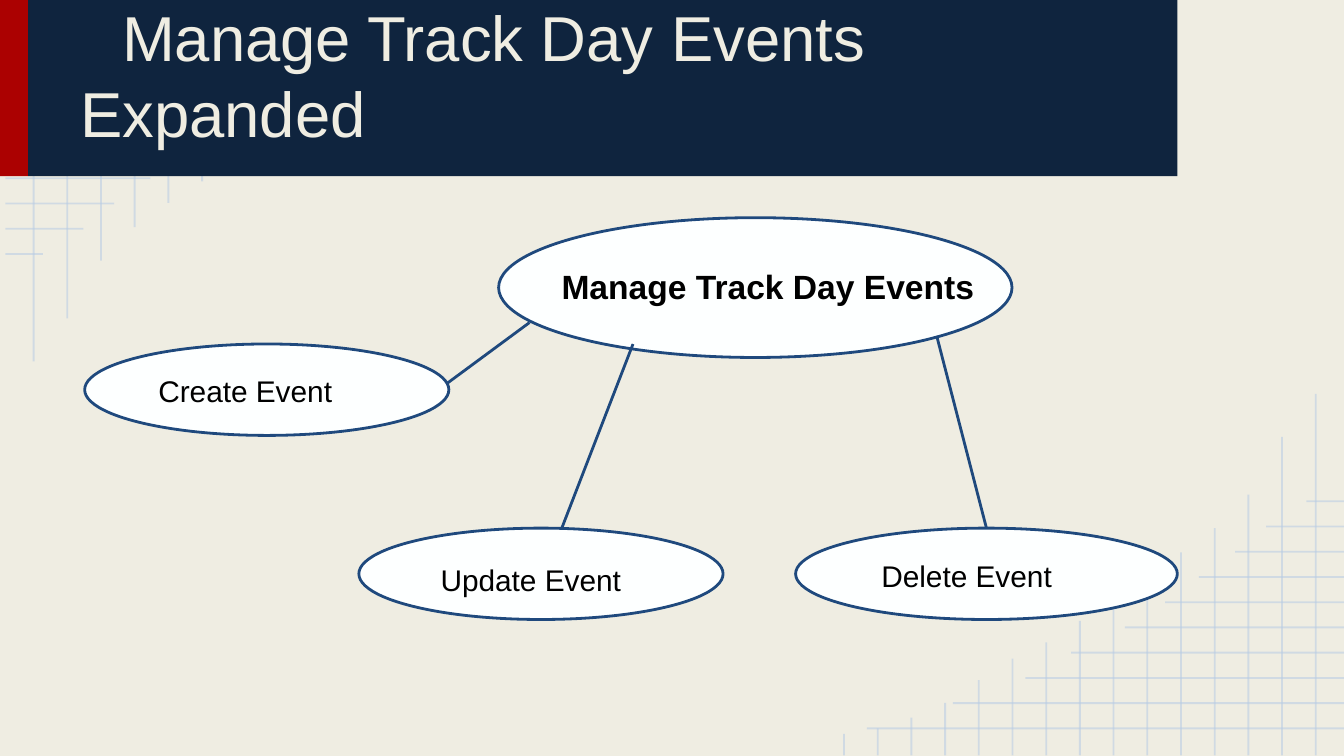
from pptx import Presentation
from pptx.dml.color import RGBColor
from pptx.enum import shapes, text
from pptx.oxml.ns import qn
from pptx.util import Inches, Pt
from lxml import etree

CREAM = RGBColor(0xEF, 0xED, 0xE2)
GRID = RGBColor(0xB7, 0xCC, 0xE4)
RED = RGBColor(0xAB, 0x01, 0x01)
NAVY = RGBColor(0x0F, 0x24, 0x3E)
BLUE = RGBColor(0x1F, 0x49, 0x7D)
WHITE = RGBColor(0xFD, 0xFF, 0xFF)
BLACK = RGBColor(0, 0, 0)

ROW_ENDS = [3.59, 2.95, 2.41, 2.07, 1.67, 1.37, 1.12, 0.85, 0.62, 0.32]
COLUMN_ENDS = [2.69, 2.37, 1.94, 1.69, 1.51, 1.35, 1.16, 1.0,
               0.84, 0.72, 0.56, 0.39, 0.28, 0.2, 0.16]

ELLIPSES = [
    (3.71, 1.62, 3.82, 1.04),
    (2.67, 3.93, 2.71, 0.68),
    (0.63, 2.56, 2.71, 0.68),
    (5.92, 3.93, 2.84, 0.68),
]
LINKS = [
    (3.94, 2.4, 3.33, 2.85),
    (4.71, 2.56, 4.18, 3.93),
    (6.97, 2.5, 7.34, 3.93),
]
LABELS = [
    ("Create Event", (1.08, 2.67, 1.93, 0.45)),
    ("Update Event", (3.18, 4.08, 1.93, 0.39)),
    ("Delete Event", (6.46, 4.05, 1.93, 0.45)),
]


def add_line(s, ends, color, width, opacity=None):
    """Draw a straight line between two points, opacity in percent."""
    line = s.shapes.add_connector(
        shapes.MSO_CONNECTOR.STRAIGHT, *[Inches(v) for v in ends])
    line.line.color.rgb = color
    line.line.width = Pt(width)
    props = line._element.spPr
    etree.SubElement(props, qn("a:effectLst"))
    if opacity:
        clr = props.find(".//" + qn("a:srgbClr"))
        etree.SubElement(clr, qn("a:alpha"), val=str(opacity * 1000))


def add_shape(s, kind, box, fill, line=None):
    """Draw a filled preset shape, outlined if a line colour is given."""
    sp = s.shapes.add_shape(kind, *[Inches(v) for v in box])
    sp.shadow.inherit = False
    sp.fill.solid()
    sp.fill.fore_color.rgb = fill
    if line is None:
        sp.line.fill.background()
    else:
        sp.line.color.rgb = line
        sp.line.width = Pt(1.5)


def add_text(s, words, box, size, color=BLACK, bold=False,
             anchor=text.MSO_ANCHOR.TOP, indent=0):
    """Add a wrapped text box with one paragraph."""
    tf = s.shapes.add_textbox(*[Inches(v) for v in box]).text_frame
    tf.word_wrap = True
    tf.vertical_anchor = anchor
    tf.margin_left = tf.margin_right = Inches(0.1)
    tf.margin_top = tf.margin_bottom = Inches(0.1)
    tf.text = words
    p = tf.paragraphs[0]
    if indent:
        p._p.get_or_add_pPr().set("indent", str(Inches(indent)))
    font = p.runs[0].font
    font.name = "Arial"
    font.size = Pt(size)
    font.bold = bold
    font.color.rgb = color


def add_corner_grids(s):
    """Draw the top left grid and the same grid turned to the bottom right."""
    row_gap, column_gap = 1.69 / 9, 3.51 / 14
    rows = [(0.04, 0.2 + i * row_gap, end, 0.2 + i * row_gap)
            for i, end in enumerate(ROW_ENDS)]
    columns = [(0.25 + i * column_gap, end, 0.25 + i * column_gap, 0)
               for i, end in enumerate(COLUMN_ENDS)]
    for x1, y1, x2, y2 in rows + columns:
        add_line(s, (x1, y1, x2, y2), GRID, 1, 54)
        turned = (10.04 - x1, 5.62 - y1, 10.04 - x2, 5.62 - y2)
        add_line(s, turned, GRID, 1, 54)


def add_header(s):
    """Draw the title band with its title."""
    rect = shapes.MSO_SHAPE.RECTANGLE
    add_shape(s, rect, (0, -0.01, 0.21, 1.32), RED)
    add_shape(s, rect, (0.21, -0.01, 8.55, 1.32), NAVY)
    add_text(s, "Manage Track Day Events Expanded", (0.5, 0.11, 8, 1.11), 34,
             CREAM, anchor=text.MSO_ANCHOR.BOTTOM, indent=0.31)


def add_diagram(s):
    """Draw the use cases, their links and their labels."""
    for box in ELLIPSES:
        add_shape(s, shapes.MSO_SHAPE.OVAL, box, WHITE, BLUE)
    for ends in LINKS:
        add_line(s, ends, BLUE, 1.5)
    add_text(s, "Manage Track Day Events", (4.08, 1.88, 3.49, 0.58), 18,
             bold=True)
    for words, box in LABELS:
        add_text(s, words, box, 16)


def main():
    """Build the slide and save it."""
    prs = Presentation()
    prs.slide_width = Inches(10)
    prs.slide_height = prs.slide_width * 9 // 16
    s = prs.slides.add_slide(prs.slide_layouts[6])
    s.background.fill.solid()
    s.background.fill.fore_color.rgb = CREAM
    add_corner_grids(s)
    add_header(s)
    add_diagram(s)
    prs.save("out.pptx")


main()
